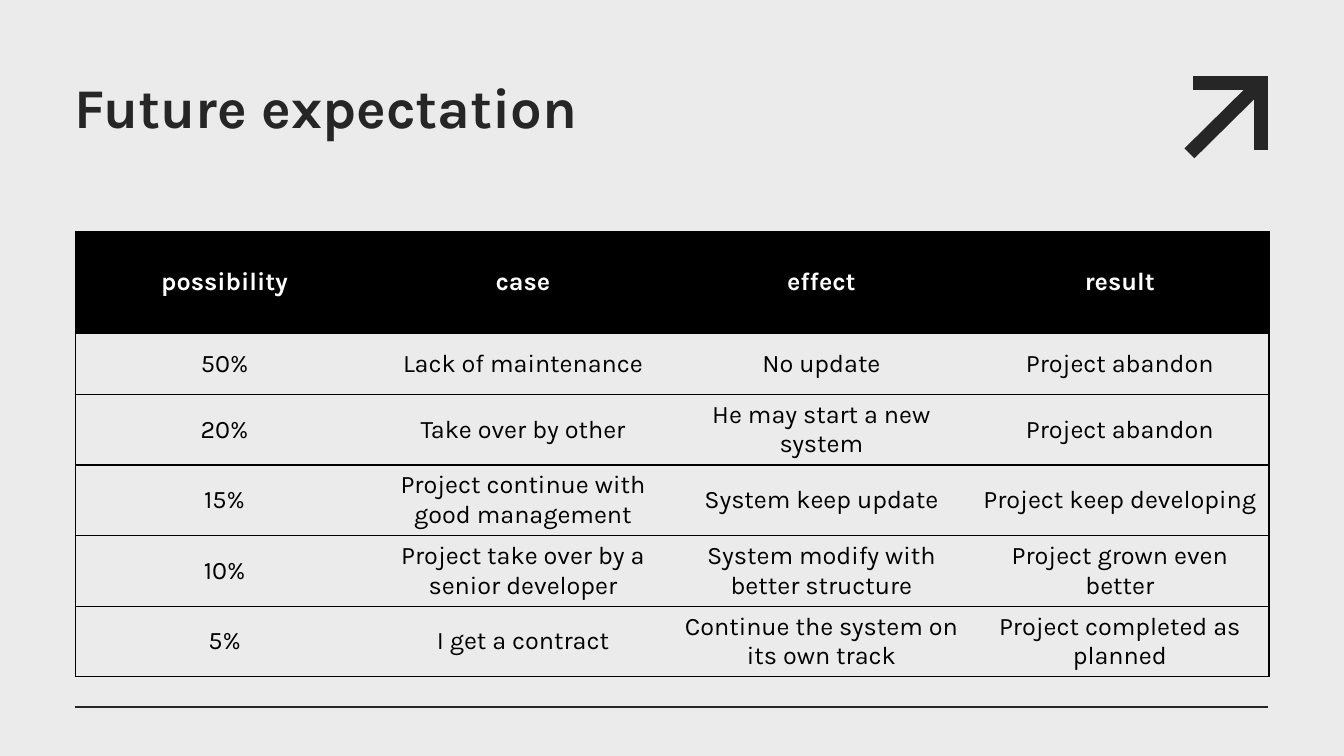
from lxml import etree
from pptx import Presentation
from pptx.dml.color import RGBColor
from pptx.enum.shapes import MSO_CONNECTOR
from pptx.enum.text import MSO_ANCHOR, PP_ALIGN
from pptx.oxml.ns import qn
from pptx.util import Cm, Pt

STRAIGHT = MSO_CONNECTOR.STRAIGHT
LEFT, CENTER = PP_ALIGN.LEFT, PP_ALIGN.CENTER
MIDDLE = MSO_ANCHOR.MIDDLE

PAPER = RGBColor(0xEB, 0xEB, 0xEB)
INK = RGBColor(0x26, 0x26, 0x26)
BLACK = RGBColor(0, 0, 0)
WHITE = RGBColor(0xFF, 0xFF, 0xFF)

ROWS = [
    ("possibility", "case", "effect", "result"),
    ("50%", "Lack of maintenance", "No update", "Project abandon"),
    ("20%", "Take over by other", "He may start a new system", "Project abandon"),
    ("15%", "Project continue with good management", "System keep update",
     "Project keep developing"),
    ("10%", "Project take over by a senior developer",
     "System modify with better structure", "Project grown even better"),
    ("5%", "I get a contract", "Continue the system on its own track",
     "Project completed as planned"),
]
ARROW = [
    (30.23, 2.09, 31.75, 2.09),
    (31.78, 2.09, 31.78, 3.61),
    (30.1, 3.74, 31.6, 2.26),
]


def write(frame, text, size=18, color=BLACK, bold=False, align=LEFT, spacing=None):
    para = frame.paragraphs[0]
    para.alignment = align
    para.line_spacing = spacing
    span = para.add_run()
    span.text = text
    span.font.name = "Karla"
    span.font.size = Pt(size)
    span.font.bold = bold
    span.font.color.rgb = color


def set_border(cell, side, visible):
    """Draw one side (L, R, T or B) of a cell in black, or hide it."""
    edge = etree.SubElement(cell._tc.get_or_add_tcPr(), qn(f"a:ln{side}"), w=str(Pt(1)))
    if visible:
        fill = etree.SubElement(edge, qn("a:solidFill"))
        etree.SubElement(fill, qn("a:srgbClr"), val=str(BLACK))
    else:
        etree.SubElement(edge, qn("a:noFill"))


class SlideBuilder:
    def __init__(self, page):
        self.page = page
        page.background.fill.solid()
        page.background.fill.fore_color.rgb = PAPER

    def line(self, x1, y1, x2, y2, width=1.5, cap="flat"):
        line = self.page.shapes.add_connector(STRAIGHT, Cm(x1), Cm(y1), Cm(x2), Cm(y2))
        line.line.color.rgb = INK
        line.line.width = Pt(width)
        line.line._get_or_add_ln().set("cap", cap)
        etree.SubElement(line._element.spPr, qn("a:effectLst"))

    def title(self, text, left, top, width, height):
        box = self.page.shapes.add_textbox(Cm(left), Cm(top), Cm(width), Cm(height))
        frame = box.text_frame
        frame.word_wrap = True
        frame.margin_left = frame.margin_top = frame.margin_right = 0
        write(frame, text, size=40, color=INK, bold=True, spacing=Pt(45))

    def table(self, rows, left, top, width, header_height, row_height):
        count, last = len(rows), len(rows[0]) - 1
        height = header_height + row_height * (count - 1)
        table = self.page.shapes.add_table(
            count, last + 1, Cm(left), Cm(top), Cm(width), Cm(height)).table
        for row_index, values in enumerate(rows):
            header = row_index == 0
            table.rows[row_index].height = Cm(header_height if header else row_height)
            for column_index, text in enumerate(values):
                cell = table.cell(row_index, column_index)
                cell.vertical_anchor = MIDDLE
                set_border(cell, "L", column_index == 0)
                set_border(cell, "R", column_index == last)
                set_border(cell, "T", True)
                set_border(cell, "B", True)
                if header:
                    cell.fill.solid()
                    cell.fill.fore_color.rgb = BLACK
                else:
                    cell.fill.background()
                write(cell.text_frame, text, color=WHITE if header else BLACK,
                      bold=header, align=CENTER)


def main():
    deck = Presentation()
    deck.slide_width, deck.slide_height = Cm(33.87), Cm(19.05)
    builder = SlideBuilder(deck.slides.add_slide(deck.slide_layouts[6]))
    for stroke in ARROW:
        builder.line(*stroke, width=10, cap="sq")
    builder.line(1.9, 17.81, 31.96, 17.81)
    builder.title("Future expectation", 1.88, 1.93, 27.94, 3.56)
    builder.table(ROWS, 1.9, 5.84, 30.08, header_height=2.56, row_height=1.54)
    deck.save("out.pptx")


if __name__ == "__main__":
    main()
